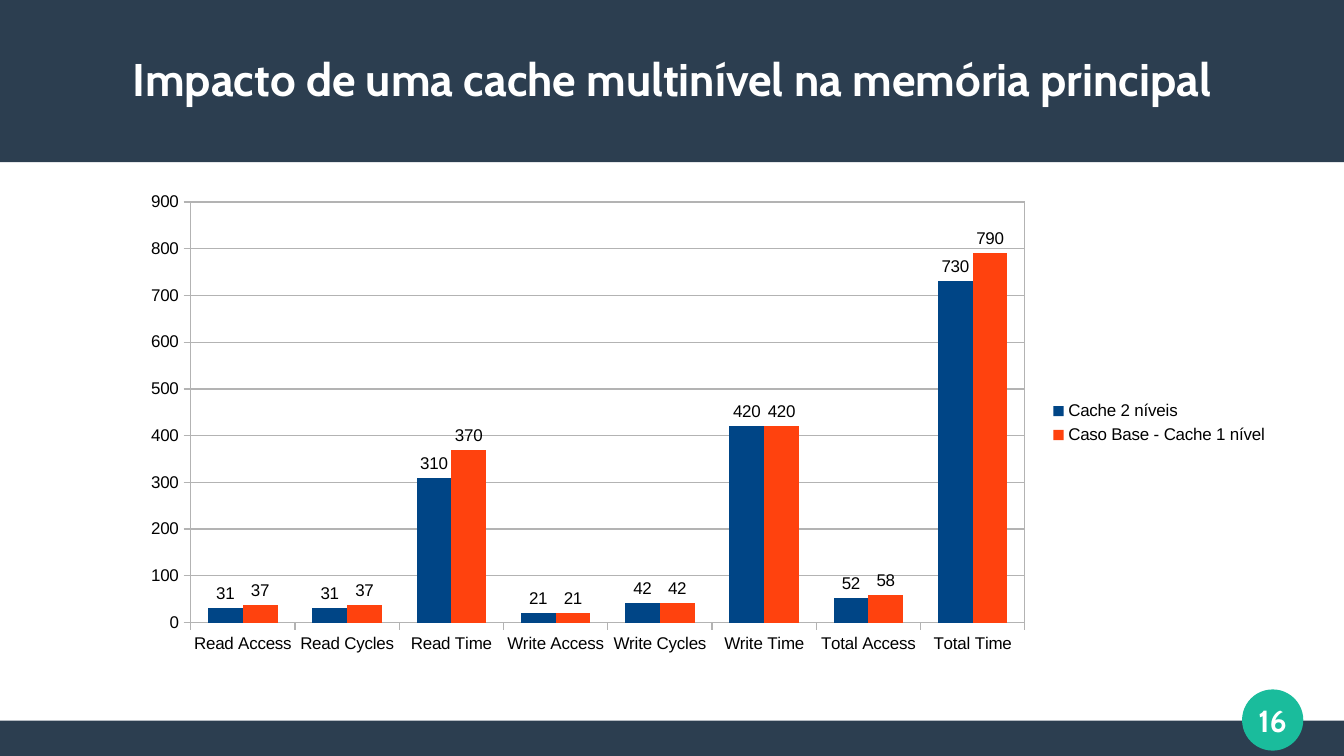
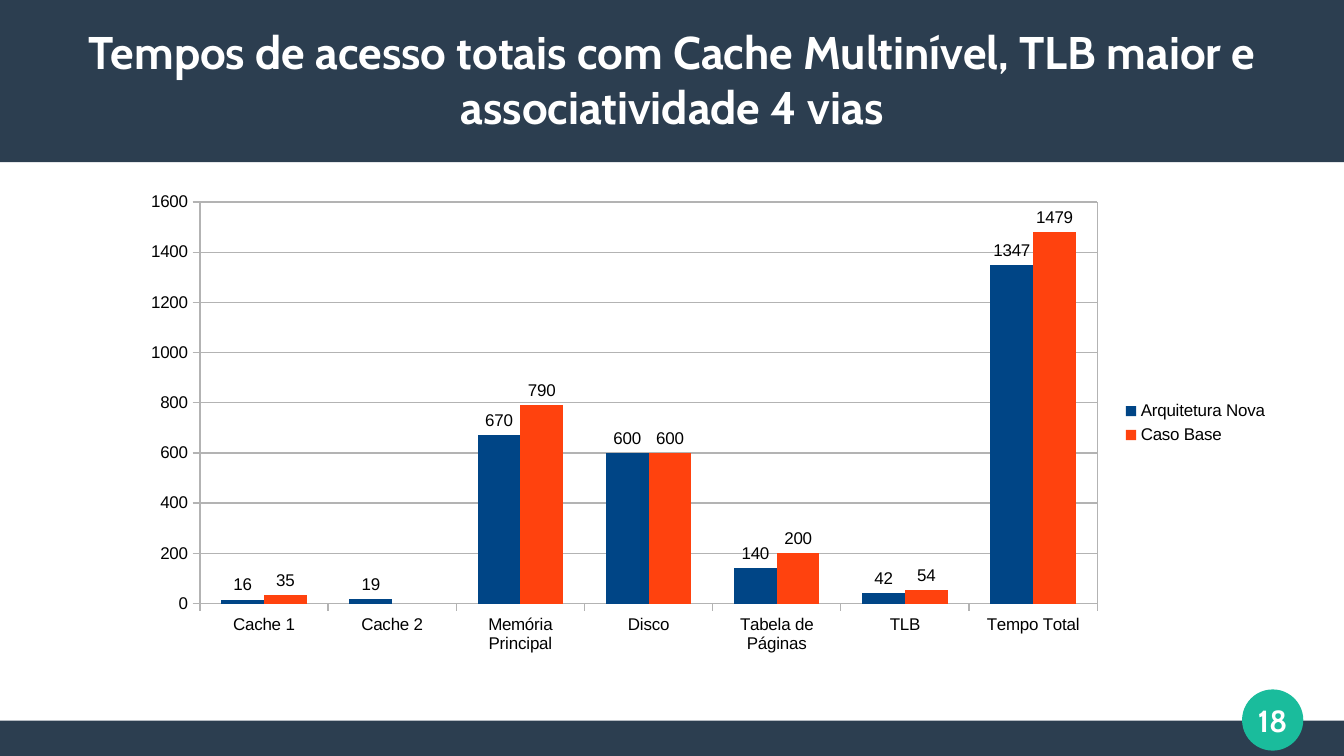
from lxml import etree
from pptx import Presentation
from pptx.chart.data import CategoryChartData
from pptx.dml.color import RGBColor
from pptx.enum.chart import XL_CHART_TYPE, XL_LABEL_POSITION, XL_LEGEND_POSITION, XL_TICK_MARK
from pptx.enum.shapes import MSO_SHAPE
from pptx.enum.text import MSO_ANCHOR, PP_ALIGN
from pptx.util import Inches, Pt

COLUMN = XL_CHART_TYPE.COLUMN_CLUSTERED
OUT_END = XL_LABEL_POSITION.OUTSIDE_END
RIGHT = XL_LEGEND_POSITION.RIGHT
TICK_OUT, TICK_NONE = XL_TICK_MARK.OUTSIDE, XL_TICK_MARK.NONE
RECT, OVAL = MSO_SHAPE.RECTANGLE, MSO_SHAPE.OVAL
MIDDLE, CENTER = MSO_ANCHOR.MIDDLE, PP_ALIGN.CENTER

# Shared style
WIDTH, HEIGHT = 11.02, 6.2
NAVY, TEAL, WHITE, BLACK, GRID = "2C3E50", "1ABC9C", "FFFFFF", "000000", "B3B3B3"
BARS = ["004586", "FF420E"]
TITLE_FONT, CHART_FONT = "Cabin", "Arial"
HEAD, FOOT = 1.33, 0.29

# Content
SLIDES = [
    {
        "num": "16",
        "title": "Impacto de uma cache multinível na memória principal",
        "cats": ["Read Access", "Read Cycles", "Read Time", "Write Access",
                 "Write Cycles", "Write Time", "Total Access", "Total Time"],
        "series": [
            ("Cache 2 níveis", [31, 31, 310, 21, 42, 420, 52, 730]),
            ("Caso Base - Cache 1 nível", [37, 37, 370, 21, 42, 420, 58, 790]),
        ],
        "top": 900, "step": 100,
    },
    {
        "num": "18",
        "title": "Tempos de acesso totais com Cache Multinível, TLB maior e "
                 "associatividade 4 vias",
        "cats": ["Cache 1", "Cache 2", "Memória Principal", "Disco",
                 "Tabela de Páginas", "TLB", "Tempo Total"],
        "series": [
            ("Arquitetura Nova", [16, 19, 670, 600, 140, 42, 1347]),
            ("Caso Base", [35, None, 790, 600, 200, 54, 1479]),
        ],
        "top": 1600, "step": 200,
    },
]


def rgb(code):
    return RGBColor.from_string(code)


def box(*sides):
    return [Inches(side) for side in sides]


def style(font, name, size, color, bold=False):
    font.name, font.size, font.bold = name, Pt(size), bold
    font.color.rgb = rgb(color)


def add_block(slide, kind, place, color):
    shape = slide.shapes.add_shape(kind, *box(*place))
    shape.shadow.inherit = False
    shape.fill.solid()
    shape.fill.fore_color.rgb = rgb(color)
    shape.line.fill.background()
    return shape


def add_text(slide, place, text, size):
    frame = slide.shapes.add_textbox(*box(*place)).text_frame
    frame.word_wrap = True
    frame.vertical_anchor = MIDDLE
    frame.margin_left = frame.margin_right = 0
    frame.margin_top = frame.margin_bottom = 0
    para = frame.paragraphs[0]
    para.alignment = CENTER
    run = para.add_run()
    run.text = text
    style(run.font, TITLE_FONT, size, WHITE, True)


def add_frame(slide, title, num):
    # Bands, number badge and title
    add_block(slide, RECT, (0, HEIGHT - FOOT, WIDTH, FOOT), NAVY)
    add_block(slide, RECT, (0, 0, WIDTH, HEAD), NAVY)
    badge = add_block(slide, OVAL, (10.19, 5.66, 0.49, 0.49), TEAL)
    badge.line.color.rgb = rgb(TEAL)
    badge.line.width = Pt(0.85)
    add_text(slide, (10.04, 5.61, 0.79, 0.59), num, 18)
    add_text(slide, (0.39, 0.25, 10.24, 0.79), title, 27)


def set_line(line):
    line.color.rgb = rgb(GRID)
    line.width = Pt(0)


def border_plot(chart):
    # Outline of the plot area
    area = chart.element.xpath("c:chart/c:plotArea")[0]
    area.append(etree.fromstring(
        '<c:spPr xmlns:c="http://schemas.openxmlformats.org/drawingml/2006/chart" '
        'xmlns:a="http://schemas.openxmlformats.org/drawingml/2006/main">'
        f'<a:noFill/><a:ln w="0"><a:solidFill><a:srgbClr val="{GRID}"/>'
        '</a:solidFill></a:ln></c:spPr>'))


def add_bars(slide, item):
    data = CategoryChartData()
    data.categories = item["cats"]
    for name, vals in item["series"]:
        data.add_series(name, vals)
    chart = slide.shapes.add_chart(COLUMN, *box(1.05, 1.5, 9.45, 3.94), data).chart
    style(chart.font, CHART_FONT, 10, BLACK)
    chart.has_title = False
    chart.has_legend = True
    chart.legend.position = RIGHT
    chart.legend.include_in_layout = False
    style(chart.legend.font, CHART_FONT, 10, BLACK)

    # Axes
    for axis in (chart.category_axis, chart.value_axis):
        axis.major_tick_mark, axis.minor_tick_mark = TICK_OUT, TICK_NONE
        set_line(axis.format.line)
        style(axis.tick_labels.font, CHART_FONT, 10, BLACK)
    scale = chart.value_axis
    scale.minimum_scale, scale.maximum_scale = 0, item["top"]
    scale.major_unit = item["step"]
    scale.has_major_gridlines = True
    set_line(scale.major_gridlines.format.line)
    border_plot(chart)

    # Columns and their values
    plot = chart.plots[0]
    plot.vary_by_categories = False
    plot.gap_width, plot.overlap = 100, 0
    for series, color in zip(plot.series, BARS):
        series.format.fill.solid()
        series.format.fill.fore_color.rgb = rgb(color)
        labels = series.data_labels
        labels.show_value = True
        labels.position = OUT_END
        style(labels.font, CHART_FONT, 10, BLACK)


def main():
    deck = Presentation()
    deck.slide_width, deck.slide_height = box(WIDTH, HEIGHT)
    for item in SLIDES:
        slide = deck.slides.add_slide(deck.slide_layouts[6])
        add_frame(slide, item["title"], item["num"])
        add_bars(slide, item)
    deck.save("out.pptx")


if __name__ == "__main__":
    main()
